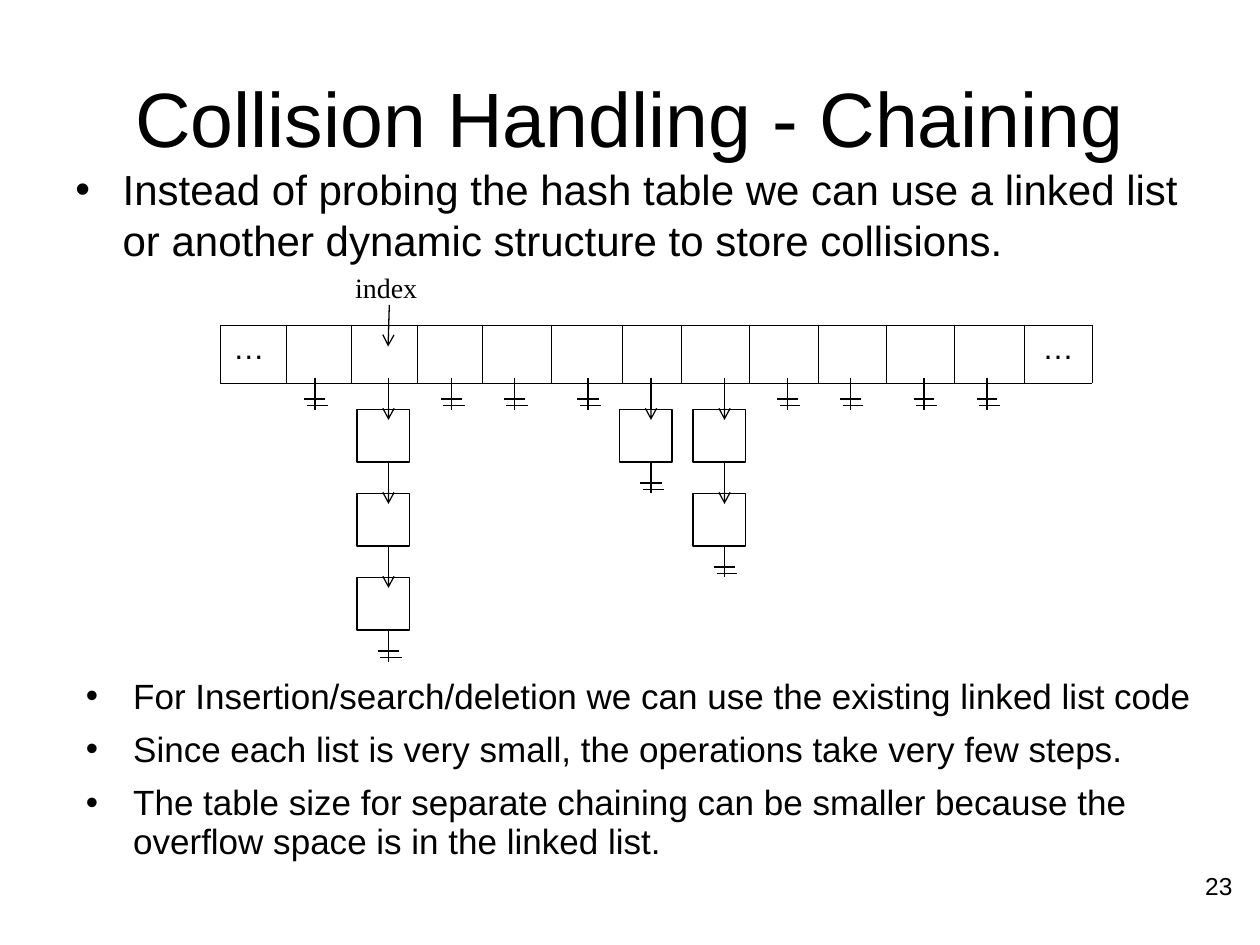
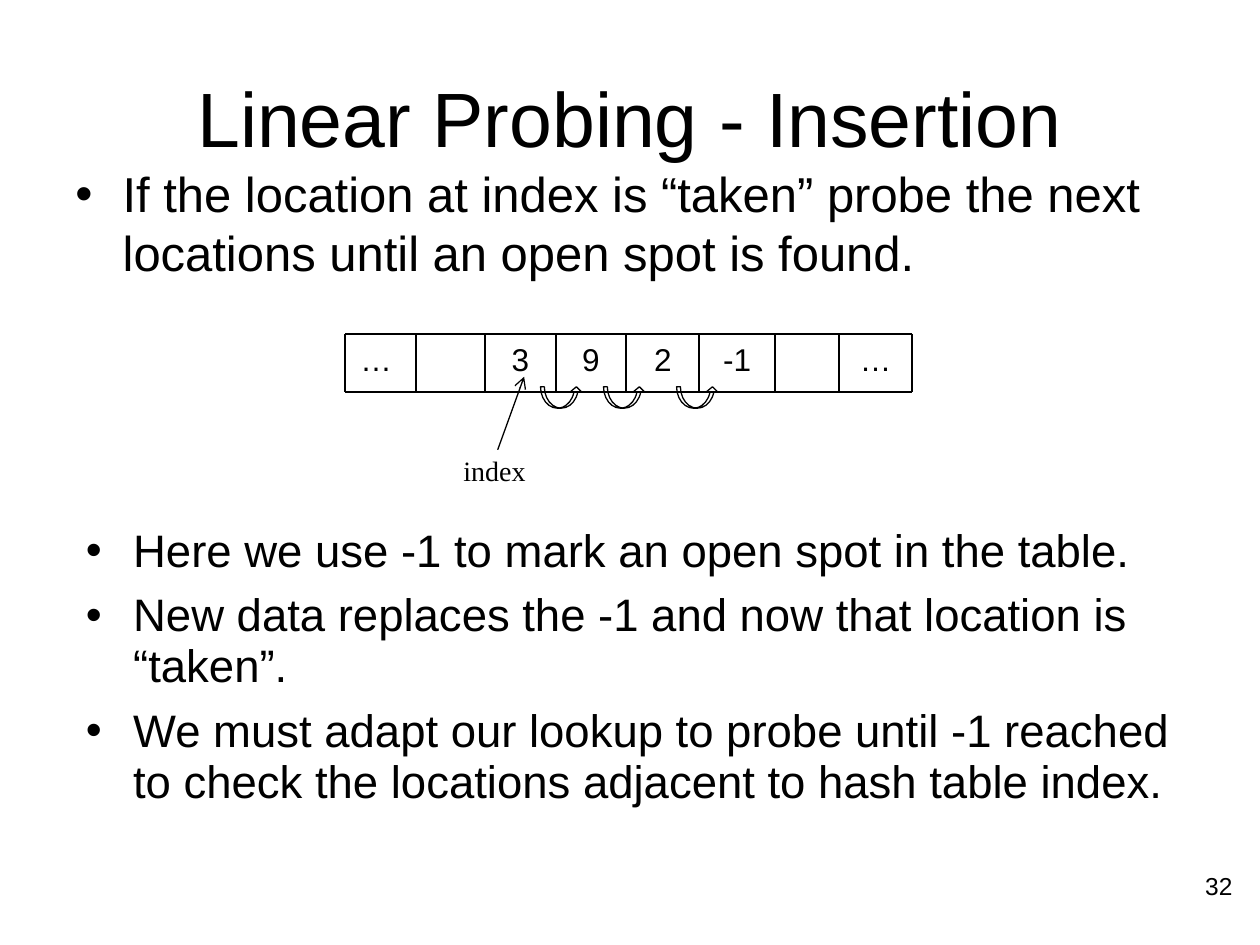
"""Build two slides on hash table collisions: chaining and linear probing."""
from dataclasses import dataclass
from itertools import pairwise

from lxml.etree import SubElement
from pptx import Presentation
from pptx.dml.color import RGBColor
from pptx.enum.shapes import MSO_CONNECTOR, MSO_SHAPE
from pptx.enum.text import MSO_ANCHOR, PP_ALIGN
from pptx.oxml.ns import qn
from pptx.util import Inches, Pt


@dataclass(frozen=True)
class Theme:
    ink: RGBColor = RGBColor(0, 0, 0)
    paper: RGBColor = RGBColor(255, 255, 255)
    sans: str = "Arial"
    serif: str = "Times New Roman"
    title: int = 44
    cell: int = 18
    label: int = 16
    page: int = 14
    thin: float = 0.75
    grid: float = 1
    edge: float = 0.45


theme = Theme()
unit = 1 / 12


def write(frame, lines, size, font=theme.sans, bullet=False, anchor=MSO_ANCHOR.TOP, **form):
    """Fill a text frame with paragraphs in one format."""
    frame.word_wrap = True
    frame.vertical_anchor = anchor
    for num, line in enumerate(lines):
        para = frame.paragraphs[0] if num == 0 else frame.add_paragraph()
        for name, value in form.items():
            setattr(para, name, value)
        if bullet:
            props = para._p.get_or_add_pPr()
            props.set("marL", str(Inches(4.5 * unit)))
            props.set("indent", str(-Inches(4.5 * unit)))
            SubElement(props, qn("a:buFont"), typeface=theme.sans)
            SubElement(props, qn("a:buChar"), char="•")
        run = para.add_run()
        run.text = line
        look = {"size": Pt(size), "name": font}
        for name, value in look.items():
            setattr(run.font, name, value)
        run.font.color.rgb = theme.ink


def draw(slide, start, end, width=theme.thin, arrow=False):
    """Draw a straight line, with an arrowhead at its end if asked."""
    line = slide.shapes.add_connector(MSO_CONNECTOR.STRAIGHT, *map(Inches, start + end))
    line.line.color.rgb = theme.ink
    line.line.width = Pt(width)
    if arrow:
        SubElement(line.line._get_or_add_ln(), qn("a:tailEnd"), type="arrow")
    SubElement(line._element.spPr, qn("a:effectLst"))


deck = Presentation()
deck.slide_width, deck.slide_height = Inches(10), Inches(7.5)

pages = [
    {
        "title": "Collision Handling - Chaining",
        "lead": "Instead of probing the hash table we can use a linked list "
                "or another dynamic structure to store collisions.",
        "lead_size": 24, "lead_gap": 6, "lead_high": 0.92,
        "size": 20, "top": 5.33, "high": 1.92,
        "points": [
            "For Insertion/search/deletion we can use the existing linked list code",
            "Since each list is very small, the operations take very few steps.",
            "The table size for separate chaining can be smaller because the "
            "overflow space is in the linked list.",
        ],
        "index": (2.72, 2.12), "arrow": ((3.09, 2.42), (3.08, 2.75)), "page": "23",
    },
    {
        "title": "Linear Probing - Insertion",
        "lead": "If the location at index is “taken” probe the next "
                "locations until an open spot is found.",
        "lead_size": 28, "lead_gap": 7, "lead_high": 1.08,
        "size": 26, "top": 4.13, "high": 2.87,
        "points": [
            "Here we use -1 to mark an open spot in the table.",
            "New data replaces the -1 and now that location is “taken”.",
            "We must adapt our lookup to probe until -1 reached to check the "
            "locations adjacent to hash table index.",
        ],
        "index": (3.58, 3.57), "arrow": ((3.95, 3.57), (4.16, 2.99)), "page": "32",
    },
]

slides = []
loose = {"line_spacing": 0.93, "space_before": Pt(8)}
for page in pages:
    slide = deck.slides.add_slide(deck.slide_layouts[6])
    slides.append(slide)
    parts = [
        ((0.5, 0.3, 9, 1.25), [page["title"]], theme.title,
         {"alignment": PP_ALIGN.CENTER, "anchor": MSO_ANCHOR.MIDDLE}),
        ((0.5, 1.25, 9.17, page["lead_high"]), [page["lead"]], page["lead_size"],
         {"bullet": True, "space_before": Pt(page["lead_gap"])}),
        ((7 * unit, page["top"], 9.17, page["high"]), page["points"], page["size"],
         {"bullet": True, **loose}),
        ((*page["index"], 0.75, 0.42), ["index"], theme.label,
         {"font": theme.serif, **loose}),
        ((7.55, 6.86, 2.33, 0.52), [page["page"]], theme.page,
         {"alignment": PP_ALIGN.RIGHT}),
    ]
    for box, lines, size, form in parts:
        text = slide.shapes.add_textbox(*map(Inches, box))
        write(text.text_frame, lines, size, **form)

chain, probe = slides

wide = [0.52, 0.52, 0.52, 0.52, 0.55, 0.56, 0.47, 0.54, 0.55, 0.54, 0.54, 0.55, 0.54]
area = map(Inches, (1.75, 2.58, sum(wide), 0.46))
table = chain.shapes.add_table(1, len(wide), *area).table
for name in ("first_row", "horz_banding"):
    setattr(table, name, False)
for col, width in enumerate(wide):
    table.columns[col].width = Inches(width)
    cell = table.cell(0, col)
    props = cell._tc.get_or_add_tcPr()
    for side in ("lnL", "lnR", "lnT", "lnB"):
        edge = SubElement(props, qn(f"a:{side}"), w=str(Pt(theme.edge)))
        fill = SubElement(edge, qn("a:solidFill"))
        SubElement(fill, qn("a:srgbClr"), val=str(theme.ink))
    cell.fill.solid()
    cell.fill.fore_color.rgb = theme.paper
for col, mark in ((0, "… "), (len(wide) - 1, "…")):
    write(table.cell(0, col).text_frame, [mark], theme.cell, alignment=PP_ALIGN.CENTER)

draw(chain, *pages[0]["arrow"], arrow=True)
step = 8 * unit
nodes = {30: 0, 37: 3, 43: 0, 49: 0, 56: 0, 62: 1, 69: 2, 75: 0, 81: 0, 88: 0, 94: 0}
for place, count in nodes.items():
    mid = place * unit
    for num in range(count):
        top = 3 + num * step
        spot = map(Inches, (mid - 0.25, top + 0.25, 5 * unit, 5 * unit))
        node = chain.shapes.add_shape(MSO_SHAPE.RECTANGLE, *spot)
        node.shadow.inherit = False
        node.fill.background()
        node.line.color.rgb = theme.ink
        node.line.width = Pt(theme.thin)
        draw(chain, (mid, top), (mid, top + 4 * unit), arrow=True)
    top = 3 + count * step
    draw(chain, (mid, top), (mid, top + 0.25))
    for shift, drop in ((0, 0), (0.02, 0.05)):
        left, level = mid - unit + shift, top + 2 * unit + drop
        draw(chain, (left, level), (left + 2 * unit, level))

walls = [2.74, 3.3, 3.85, 4.41, 4.97, 5.55, 6.15, 6.66, 7.24]
roof, floor = 2.65, 3.11
marks = ["… ", "", "3", "9", "2", "-1", "", "…"]
for (left, right), mark in zip(pairwise(walls), marks):
    spot = map(Inches, (left, roof, right - left, floor - roof))
    slot = probe.shapes.add_shape(MSO_SHAPE.RECTANGLE, *spot)
    slot.shadow.inherit = False
    slot.fill.solid()
    slot.fill.fore_color.rgb = theme.paper
    slot.line.fill.background()
    if mark:
        write(slot.text_frame, [mark], theme.cell, alignment=PP_ALIGN.CENTER)
for wall in walls:
    draw(probe, (wall, roof), (wall, floor), theme.grid)
for level in (roof, floor):
    draw(probe, (walls[0], level), (walls[-1], level), theme.grid)
draw(probe, *pages[1]["arrow"], arrow=True)

for left in (4.79, 4.29, 5.37):
    spot = map(Inches, (left, 3.07, 0.33, 0.17))
    hop = probe.shapes.add_shape(MSO_SHAPE.CURVED_UP_ARROW, *spot)
    for num, ratio in enumerate((0.18, 0.53, 0.24)):
        hop.adjustments[num] = ratio
    hop.shadow.inherit = False
    hop.fill.background()
    hop.line.color.rgb = theme.ink
    hop.line.width = Pt(theme.thin)

deck.save("out.pptx")
